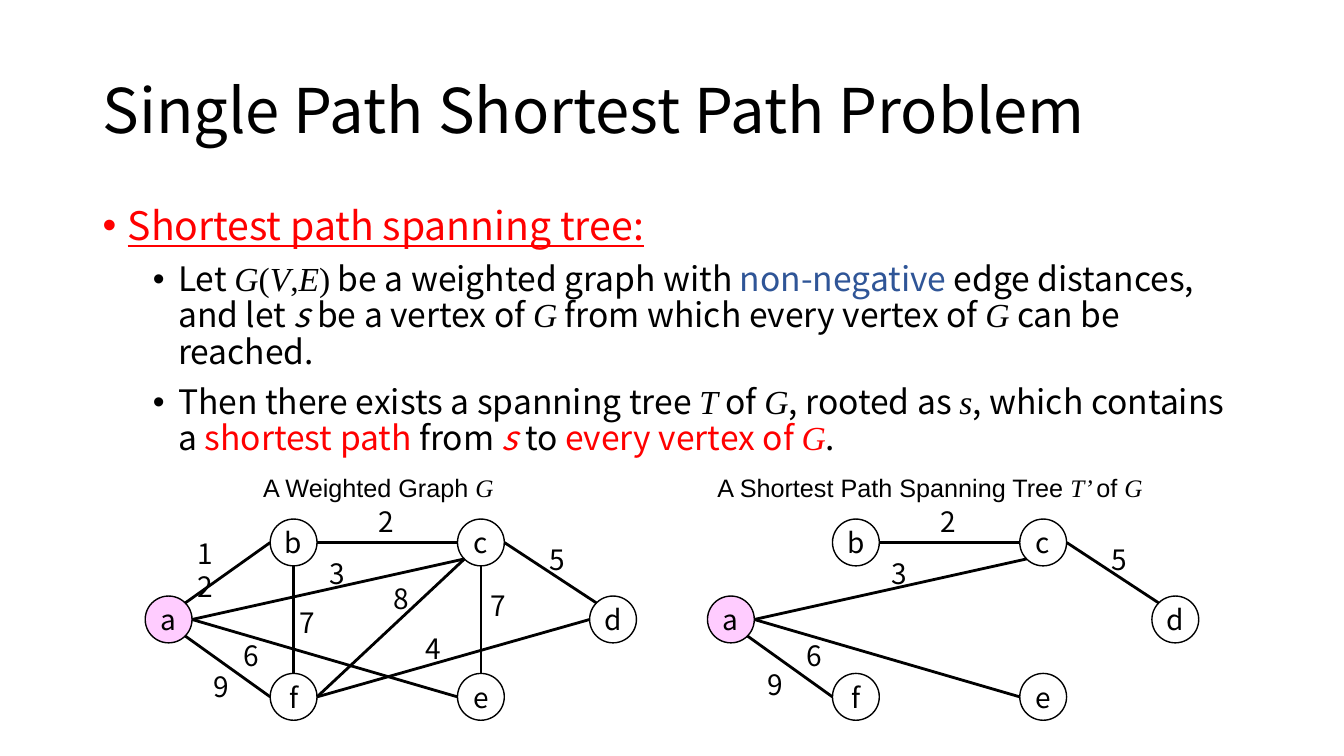
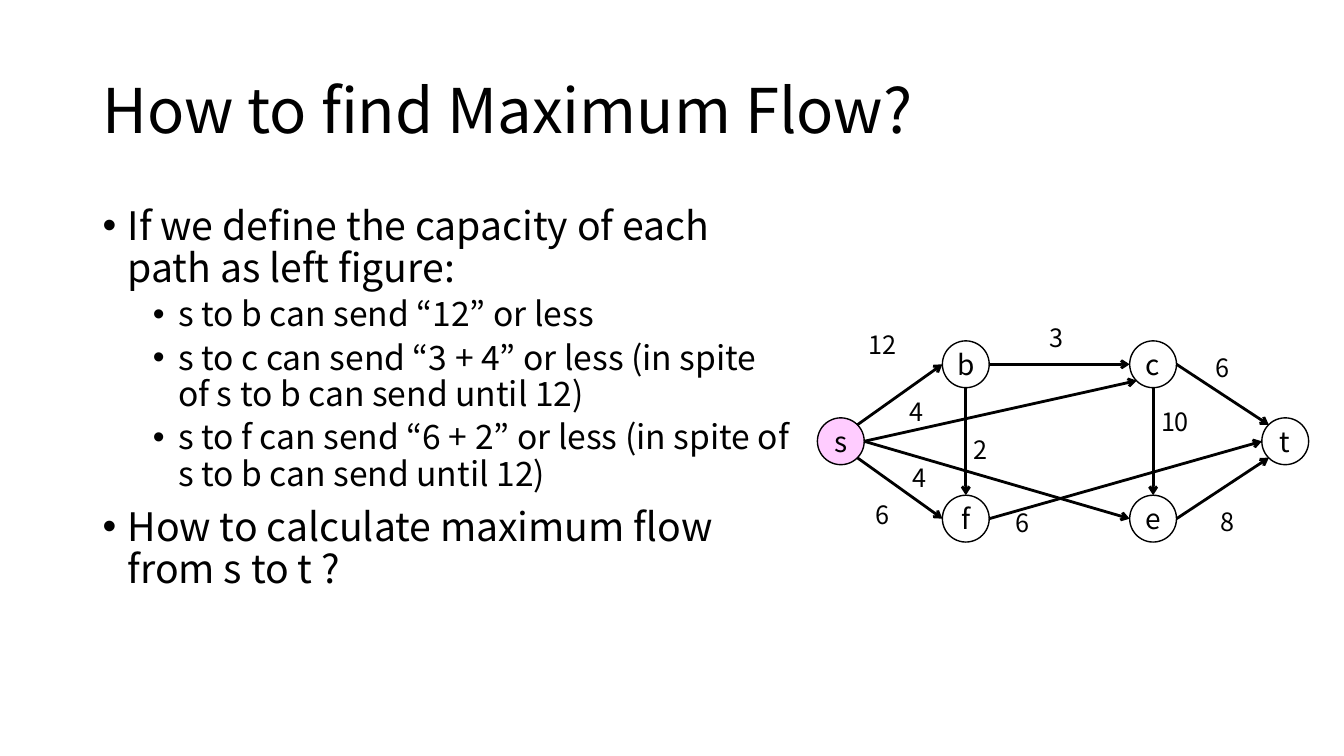
from lxml.etree import SubElement
from pptx import Presentation
from pptx.dml.color import RGBColor
from pptx.enum.shapes import MSO_CONNECTOR, MSO_SHAPE
from pptx.enum.text import MSO_ANCHOR, MSO_AUTO_SIZE, PP_ALIGN
from pptx.oxml.ns import qn
from pptx.util import Cm, Pt

BLACK = RGBColor(0x00, 0x00, 0x00)
WHITE = RGBColor(0xFF, 0xFF, 0xFF)
RED = RGBColor(0xFF, 0x00, 0x00)
BLUE = RGBColor(0x2F, 0x55, 0x97)
PINK = RGBColor(0xFF, 0xCC, 0xFF)

SANS, SERIF, CAPTION_FONT = "Noto Sans CJK JP", "Times New Roman", "Arial"

# Run styles: format values laid over the font of the paragraph
STYLES = {
    "plain": {},
    "math": {"name": SERIF, "italic": True},
    "bracket": {"name": SERIF},
    "italic": {"italic": True},
    "blue": {"color": BLUE},
    "red": {"color": RED},
    "red italic": {"color": RED, "italic": True},
    "red math": {"color": RED, "name": SERIF, "italic": True},
    "red heading": {"color": RED, "underline": True},
}

# Boxes are left, top, width, height in centimetres
TITLE_BOX = (2.33, 1.01, 29.21, 3.68)
WIDE_BODY_BOX = (2.33, 5.07, 29.21, 12.09)
NARROW_BODY_BOX = (2.33, 5.07, 17.88, 12.09)

# Both graphs share one layout; positions are relative to the graph's corner
NODE_SIZE = 1.18
NODE_PLACES = {
    "start": (0, 1.94),
    "b": (3.15, 0),
    "c": (7.87, 0),
    "e": (7.87, 3.89),
    "f": (3.15, 3.89),
    "end": (11.2, 1.94),
}

# Connection sites of an ellipse: index, and place as a share of its size
SITES = {
    "top": (0, 0.5, 0),
    "top left": (1, 0.15, 0.15),
    "left": (2, 0, 0.5),
    "bottom left": (3, 0.15, 0.85),
    "bottom": (4, 0.5, 1),
    "bottom right": (5, 0.85, 0.85),
    "right": (6, 1, 0.5),
    "top right": (7, 0.85, 0.15),
}
ROUTES = {
    "start-b": ("top right", "left"),
    "start-c": ("right", "bottom left"),
    "start-e": ("right", "left"),
    "start-f": ("bottom right", "left"),
    "b-c": ("right", "left"),
    "b-f": ("bottom", "top"),
    "c-e": ("bottom", "top"),
    "c-f": ("bottom left", "right"),
    "c-end": ("right", "top left"),
    "f-end": ("right", "left"),
    "e-end": ("right", "bottom left"),
}

# Edges of each graph: label, and its left and top
WEIGHTED_EDGES = {
    "start-b": ("12", 1.32, 0.43),
    "start-c": ("3", 4.65, 0.94),
    "start-e": ("6", 2.49, 3.02),
    "start-f": ("9", 1.73, 3.78),
    "b-c": ("2", 5.87, -0.36),
    "b-f": ("7", 3.89, 2.18),
    "c-e": ("7", 8.69, 1.75),
    "c-f": ("8", 6.27, 1.57),
    "c-end": ("5", 10.19, 0.58),
    "f-end": ("4", 7.06, 2.84),
}
TREE_EDGES = {
    **{name: WEIGHTED_EDGES[name] for name in ("b-c", "c-end", "start-e", "start-c")},
    "start-f": ("9", 1.52, 3.73),
}
CAPACITY_EDGES = {
    "start-b": ("12", 1.3, -0.3),
    "start-c": ("4", 2.31, 1.4),
    "start-e": ("4", 2.39, 3.05),
    "start-f": ("6", 1.47, 3.99),
    "b-c": ("3", 5.84, -0.46),
    "b-f": ("2", 3.94, 2.36),
    "c-e": ("10", 8.66, 1.65),
    "c-end": ("6", 10.03, 0.3),
    "f-end": ("6", 4.98, 4.19),
    "e-end": ("8", 10.16, 4.17),
}

# Body paragraphs: level, then runs of text and style
SPANNING_TREE_TEXT = [
    (0, [("Shortest path spanning tree:", "red heading")]),
    (1, [("Let ", "plain"), ("G", "math"), ("(", "bracket"), ("V", "math"),
         (",", "bracket"), ("E", "math"), (")", "bracket"),
         (" be a weighted graph with ", "plain"), ("non-negative", "blue"),
         (" edge distances, and let ", "plain"), ("s", "italic"),
         (" be a vertex of ", "plain"), ("G", "math"),
         (" from which every vertex of ", "plain"), ("G", "math"),
         (" can be reached.", "plain")]),
    (1, [("Then there exists a spanning tree ", "plain"), ("T", "math"),
         (" of ", "plain"), ("G", "math"), (", rooted as ", "plain"),
         ("s", "math"), (", which contains a ", "plain"),
         ("shortest path", "red"), (" from ", "plain"), ("s", "red italic"),
         (" to ", "plain"), ("every vertex of ", "red"), ("G", "red math"),
         (".", "plain")]),
]
MAXIMUM_FLOW_TEXT = [
    (0, [("If we define the capacity of each path as left figure:", "plain")]),
    (1, [("s to b can send “12” or less", "plain")]),
    (1, [("s to c can send “3 + 4” or less (in spite of s to b can send until 12)",
          "plain")]),
    (1, [("s to f can send “6 + 2” or less (in spite of s to b can send until 12)",
          "plain")]),
    (0, [("How to calculate maximum flow from s to t ?", "plain")]),
]


def place(shape, box):
    for name, length in zip(("left", "top", "width", "height"), box):
        setattr(shape, name, Cm(length))


def add_runs(paragraph, runs, size, font=SANS):
    for text, style in runs:
        run = paragraph.add_run()
        run.text = text
        values = {"name": font, "size": Pt(size), "color": BLACK, **STYLES[style]}
        run.font.color.rgb = values.pop("color")
        for name, value in values.items():
            setattr(run.font, name, value)


def clear_margins(text_frame):
    for side in ("left", "top", "right", "bottom"):
        setattr(text_frame, f"margin_{side}", 0)


def add_text(slide, box, runs, size, font=SANS):
    text_box = slide.shapes.add_textbox(*map(Cm, box))
    clear_margins(text_box.text_frame)
    text_box.text_frame.word_wrap = True
    add_runs(text_box.text_frame.paragraphs[0], runs, size, font)


def add_title(slide, text):
    title = slide.shapes.title
    place(title, TITLE_BOX)
    title.text_frame.auto_size = MSO_AUTO_SIZE.NONE
    title.text_frame.vertical_anchor = MSO_ANCHOR.MIDDLE
    paragraph = title.text_frame.paragraphs[0]
    paragraph.alignment = PP_ALIGN.LEFT
    paragraph.line_spacing = 0.9
    add_runs(paragraph, [(text, "plain")], 44)


def add_body(slide, box, content, space_before, space_after):
    """Fill the body; space_before holds one value for each level."""
    body = slide.placeholders[1]
    place(body, box)
    text_frame = body.text_frame
    text_frame.auto_size = MSO_AUTO_SIZE.NONE
    for index, (level, runs) in enumerate(content):
        paragraph = text_frame.add_paragraph() if index else text_frame.paragraphs[0]
        formats = {
            "level": level,
            "line_spacing": 0.9,
            "space_before": Pt(space_before[level]),
            "space_after": Pt(space_after),
        }
        for name, value in formats.items():
            setattr(paragraph, name, value)
        properties = paragraph._p.get_or_add_pPr()
        properties.set("marL", str(Pt(18 + 36 * level)))
        properties.set("indent", str(Pt(-18)))
        SubElement(properties, qn("a:buFont"), typeface="Arial")
        SubElement(properties, qn("a:buChar"), char="•")
        add_runs(paragraph, runs, (28, 24)[level])


def add_node(slide, left, top, letter, fill):
    box = (left, top, NODE_SIZE, NODE_SIZE)
    node = slide.shapes.add_shape(MSO_SHAPE.OVAL, *map(Cm, box))
    node.shadow.inherit = False
    node.fill.solid()
    node.fill.fore_color.rgb = fill
    node.line.color.rgb = BLACK
    node.line.width = Pt(1)
    text_frame = node.text_frame
    clear_margins(text_frame)
    text_frame.word_wrap = False
    text_frame.vertical_anchor = MSO_ANCHOR.MIDDLE
    text_frame.paragraphs[0].alignment = PP_ALIGN.CENTER
    add_runs(text_frame.paragraphs[0], [(letter, "plain")], 20)
    return node


def add_edge(slide, nodes, route, directed):
    """Join two nodes at the ellipse sites that the route names."""
    ends = [(nodes[name], *SITES[site])
            for name, site in zip(route.split("-"), ROUTES[route])]
    points = [round(length) for node, _, across, down in ends
              for length in (node.left + node.width * across,
                             node.top + node.height * down)]
    edge = slide.shapes.add_connector(MSO_CONNECTOR.STRAIGHT, *points)
    edge.line.color.rgb = BLACK
    edge.line.width = Pt(2)
    element = edge._element
    if directed:
        SubElement(element.spPr.find(qn("a:ln")), qn("a:tailEnd"), type="arrow")
    SubElement(element.spPr, qn("a:effectLst"))
    for tag, (node, index, _, _) in zip(("a:stCxn", "a:endCxn"), ends):
        SubElement(element.nvCxnSpPr.cNvCxnSpPr, qn(tag),
                   id=str(node.shape_id), idx=str(index))


def add_graph(slide, left, top, edges, start, end, label_size, label_width,
              directed=False):
    letters = {"start": start, "end": end}
    nodes = {
        name: add_node(slide, left + x, top + y, letters.get(name, name),
                       PINK if name == "start" else WHITE)
        for name, (x, y) in NODE_PLACES.items()
    }
    for route in edges:
        add_edge(slide, nodes, route, directed)
    for label, x, y in edges.values():
        add_text(slide, (left + x, top + y, label_width, 0.8),
                 [(label, "plain")], label_size)


def build_spanning_tree_slide(slide):
    add_title(slide, "Single Path Shortest Path Problem")
    add_body(slide, WIDE_BODY_BOX, SPANNING_TREE_TEXT, (5, 5), 5)
    graphs = [
        (3.66, WEIGHTED_EDGES, 2.97, [("A Weighted Graph ", "plain"), ("G", "math")]),
        (17.83, TREE_EDGES, 0.25,
         [("A Shortest Path Spanning Tree ", "plain"), ("T’ ", "math"),
          ("of ", "plain"), ("G", "math")]),
    ]
    top = 13.08
    for left, edges, caption_indent, caption in graphs:
        add_graph(slide, left, top, edges, "a", "d", 20, 0.6)
        add_text(slide, (left + caption_indent, top - 1.18, 11.9, 0.8),
                 caption, 18, CAPTION_FONT)


def build_maximum_flow_slide(slide):
    add_title(slide, "How to find Maximum Flow?")
    add_body(slide, NARROW_BODY_BOX, MAXIMUM_FLOW_TEXT, (10, 5), 0)
    add_graph(slide, 20.6, 8.59, CAPACITY_EDGES, "s", "t", 18, 1.2, directed=True)


def main():
    presentation = Presentation()
    presentation.slide_width = Cm(33.87)
    presentation.slide_height = Cm(19.05)
    layout = presentation.slide_layouts[1]
    for build in (build_spanning_tree_slide, build_maximum_flow_slide):
        build(presentation.slides.add_slide(layout))
    presentation.save("out.pptx")


if __name__ == "__main__":
    main()
